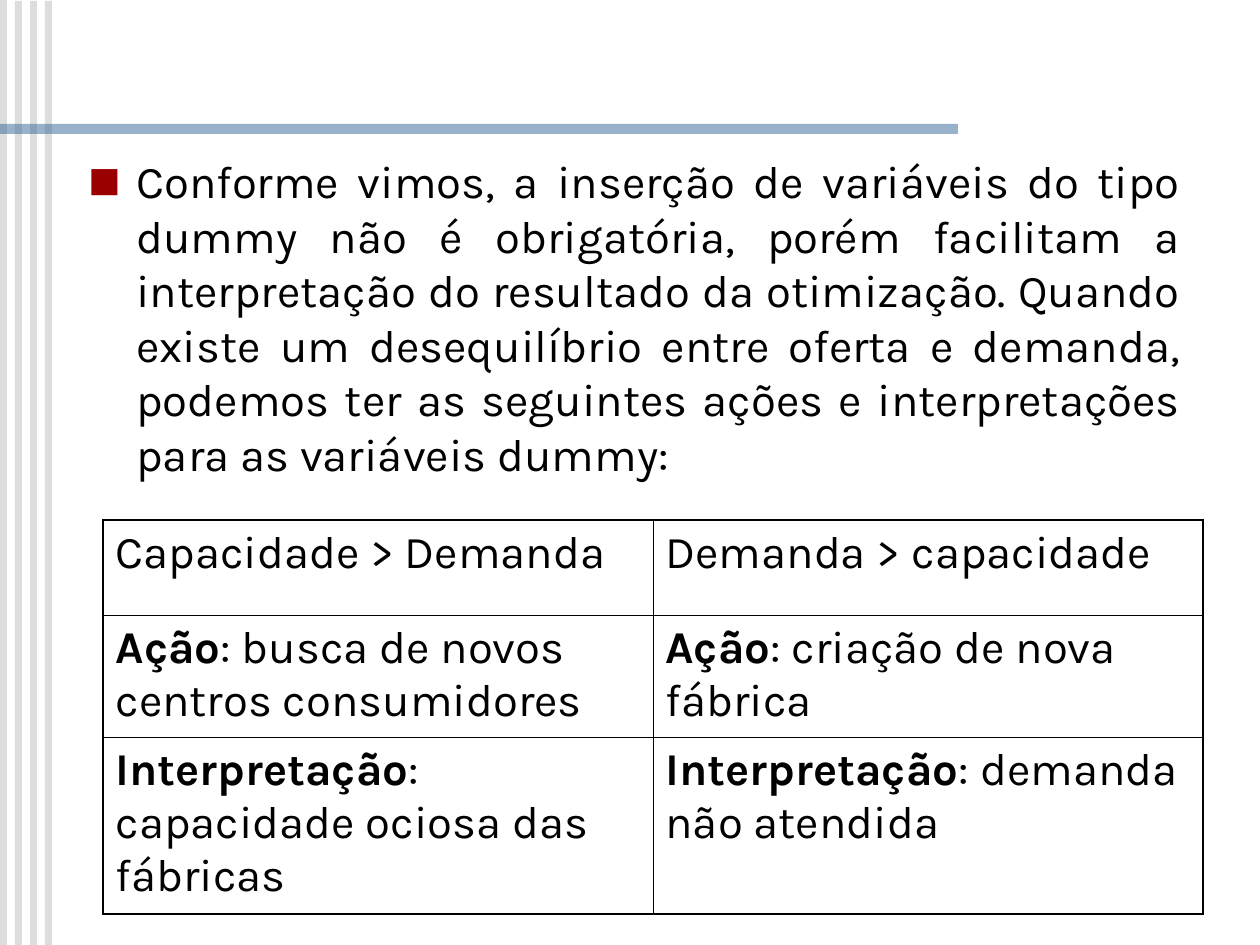
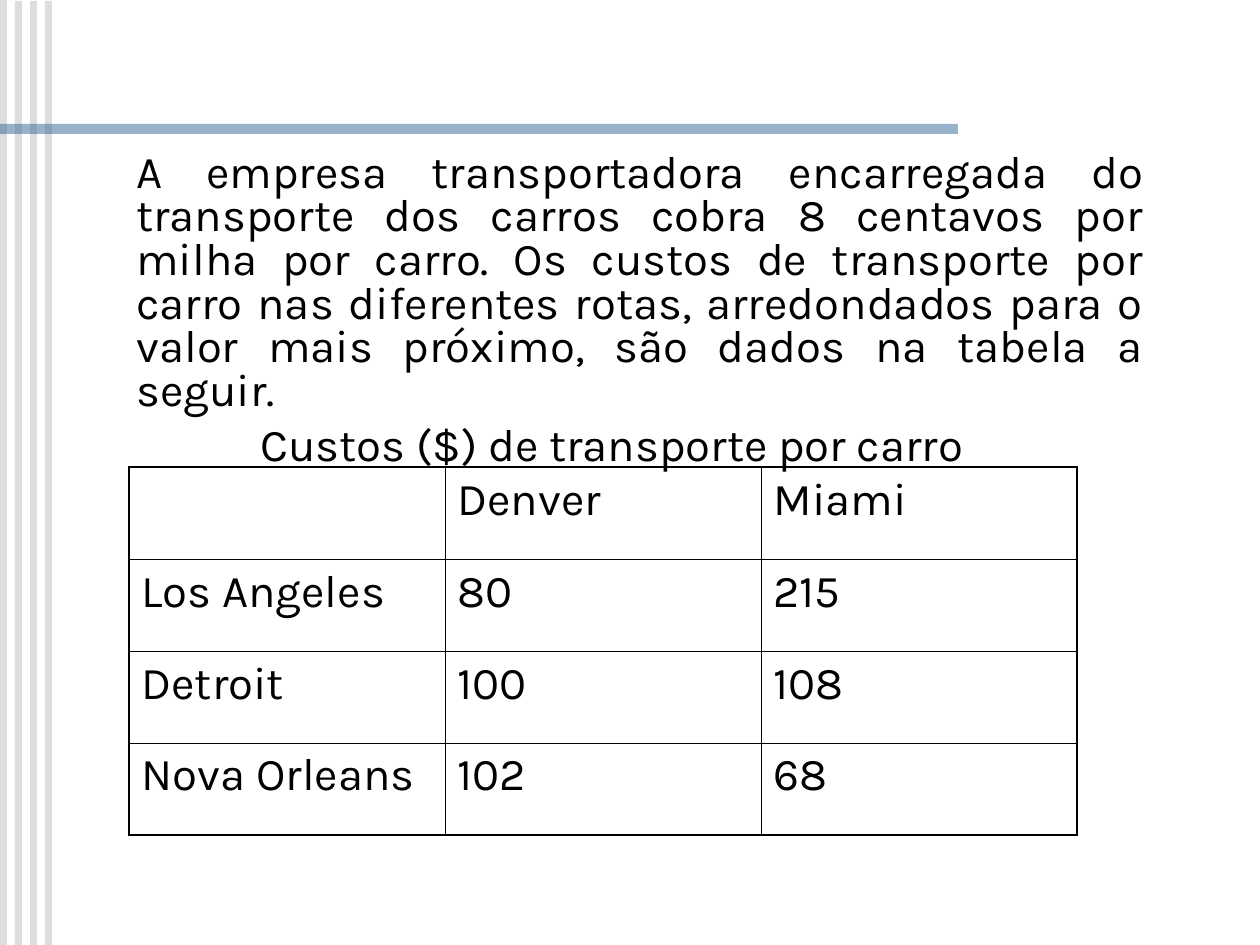
from lxml.etree import SubElement
from pptx import Presentation
from pptx.dml.color import RGBColor
from pptx.enum.shapes import MSO_SHAPE
from pptx.enum.text import MSO_ANCHOR, PP_ALIGN
from pptx.oxml import parse_xml
from pptx.oxml.ns import nsdecls, qn
from pptx.util import Pt

PX = 914400 / 126
SLIDE_WIDTH, SLIDE_HEIGHT = 1260, 945
FONT = "Karla"
TEXT_SIZE = 26
SPACE_BEFORE = 6.5
HANGING = 48
OUTER_LINE, INNER_LINE = 1.08, 0.45

BLACK = RGBColor(0x00, 0x00, 0x00)
STRIPE_GREY = RGBColor(0xDD, 0xDD, 0xDD)
BAND_BLUE = RGBColor(0x33, 0x66, 0x99)
BULLET_RED = RGBColor(0x9A, 0x00, 0x00)


def px(length):
    return round(length * PX)


def add_run(paragraph, text, bold=False):
    run = paragraph.add_run()
    run.text = text
    run.font.name = FONT
    run.font.size = Pt(TEXT_SIZE)
    run.font.bold = bold
    run.font.color.rgb = BLACK


def add_rectangle(slide, box, color, opacity=100):
    shape = slide.shapes.add_shape(MSO_SHAPE.RECTANGLE, *map(px, box))
    shape.shadow.inherit = False
    shape.fill.solid()
    shape.fill.fore_color.rgb = color
    shape.line.fill.background()
    if opacity < 100:
        fill_color = shape.fill._xPr.find(qn("a:solidFill"))[0]
        SubElement(fill_color, qn("a:alpha"), val=str(opacity * 1000))


def add_decorated_slide(presentation):
    slide = presentation.slides.add_slide(presentation.slide_layouts[6])
    for index in range(4):
        box = (index * 15, min(index, 1), 7, SLIDE_HEIGHT)
        add_rectangle(slide, box, STRIPE_GREY)
    add_rectangle(slide, (0, 124, 958, 10), BAND_BLUE, opacity=50)
    return slide


def add_body(slide, box):
    frame = slide.shapes.add_textbox(*map(px, box)).text_frame
    frame.word_wrap = True
    frame.vertical_anchor = MSO_ANCHOR.TOP
    return frame


def format_body_paragraph(paragraph, left, first_line=0, spacing=1.0):
    paragraph.alignment = PP_ALIGN.JUSTIFY
    paragraph.line_spacing = spacing
    properties = paragraph._p.get_or_add_pPr()
    properties.set("marL", str(px(left)))
    properties.set("indent", str(px(first_line)))
    return properties


def add_square_bullet(properties):
    color = SubElement(properties, qn("a:buClr"))
    SubElement(color, qn("a:srgbClr"), val=str(BULLET_RED))
    SubElement(properties, qn("a:buSzPct"), val="75000")
    SubElement(properties, qn("a:buFont"), typeface=FONT)
    SubElement(properties, qn("a:buChar"), char="■")


def set_borders(cell, outer_sides):
    properties = cell._tc.get_or_add_tcPr()
    for index, side in enumerate("LRTB"):
        width = Pt(OUTER_LINE if side in outer_sides else INNER_LINE)
        properties.insert(index, parse_xml(
            f'<a:ln{side} {nsdecls("a")} w="{width}"><a:solidFill>'
            f'<a:srgbClr val="{BLACK}"/></a:solidFill></a:ln{side}>'))


def add_grid(slide, left, top, column_width, row_heights, rows):
    column_count = len(rows[0])
    box = (left, top, column_width * column_count, sum(row_heights))
    table = slide.shapes.add_table(len(rows), column_count, *map(px, box)).table
    table.first_row = table.horz_banding = False
    for column in table.columns:
        column.width = px(column_width)
    for row_index, (height, row) in enumerate(zip(row_heights, rows)):
        table.rows[row_index].height = px(height)
        for column_index, (label, text) in enumerate(row):
            cell = table.cell(row_index, column_index)
            cell.fill.background()
            edges = {"L": column_index == 0, "R": column_index == column_count - 1,
                     "T": row_index == 0, "B": row_index == len(rows) - 1}
            set_borders(cell, [side for side, outer in edges.items() if outer])
            paragraph = cell.text_frame.paragraphs[0]
            if label:
                add_run(paragraph, label, bold=True)
            if text:
                add_run(paragraph, text)


def build_dummy_slide(presentation):
    slide = add_decorated_slide(presentation)
    paragraph = add_body(slide, (76, 147, 1118, 375)).paragraphs[0]
    add_square_bullet(format_body_paragraph(paragraph, HANGING, -HANGING))
    add_run(paragraph, "Conforme vimos, a inserção de variáveis do tipo dummy não é "
            "obrigatória, porém facilitam a interpretação do resultado da otimização. "
            "Quando existe um desequilíbrio entre oferta e demanda, podemos ter as "
            "seguintes ações e interpretações para as variáveis dummy:")
    rows = [
        [("", "Capacidade > Demanda"), ("", "Demanda > capacidade")],
        [("Ação", ": busca de novos centros consumidores"),
         ("Ação", ": criação de nova fábrica")],
        [("Interpretação", ": capacidade ociosa das fábricas"),
         ("Interpretação", ": demanda não atendida")],
    ]
    add_grid(slide, 103, 520, 550, [95, 122, 177], rows)


def build_cost_slide(presentation):
    slide = add_decorated_slide(presentation)
    frame = add_body(slide, (76, 147, 1081, 352))
    introduction = frame.paragraphs[0]
    format_body_paragraph(introduction, HANGING, spacing=0.8)
    add_run(introduction, "A empresa transportadora encarregada do transporte dos carros "
            "cobra 8 centavos por milha por carro. Os custos de transporte por carro nas "
            "diferentes rotas, arredondados para o valor mais próximo, são dados na "
            "tabela a seguir.")
    caption = frame.add_paragraph()
    format_body_paragraph(caption, 172, spacing=0.8)
    caption.space_before = Pt(SPACE_BEFORE)
    add_run(caption, "Custos ($) de transporte por carro")
    costs = [
        ("", "Denver", "Miami"),
        ("Los Angeles", "80", "215"),
        ("Detroit", "100", "108"),
        ("Nova Orleans", "102", "68"),
    ]
    rows = [[("", text) for text in row] for row in costs]
    add_grid(slide, 129, 467, 316, [92] * len(rows), rows)


def main():
    presentation = Presentation()
    presentation.slide_width = px(SLIDE_WIDTH)
    presentation.slide_height = px(SLIDE_HEIGHT)
    build_dummy_slide(presentation)
    build_cost_slide(presentation)
    presentation.save("out.pptx")


if __name__ == "__main__":
    main()
